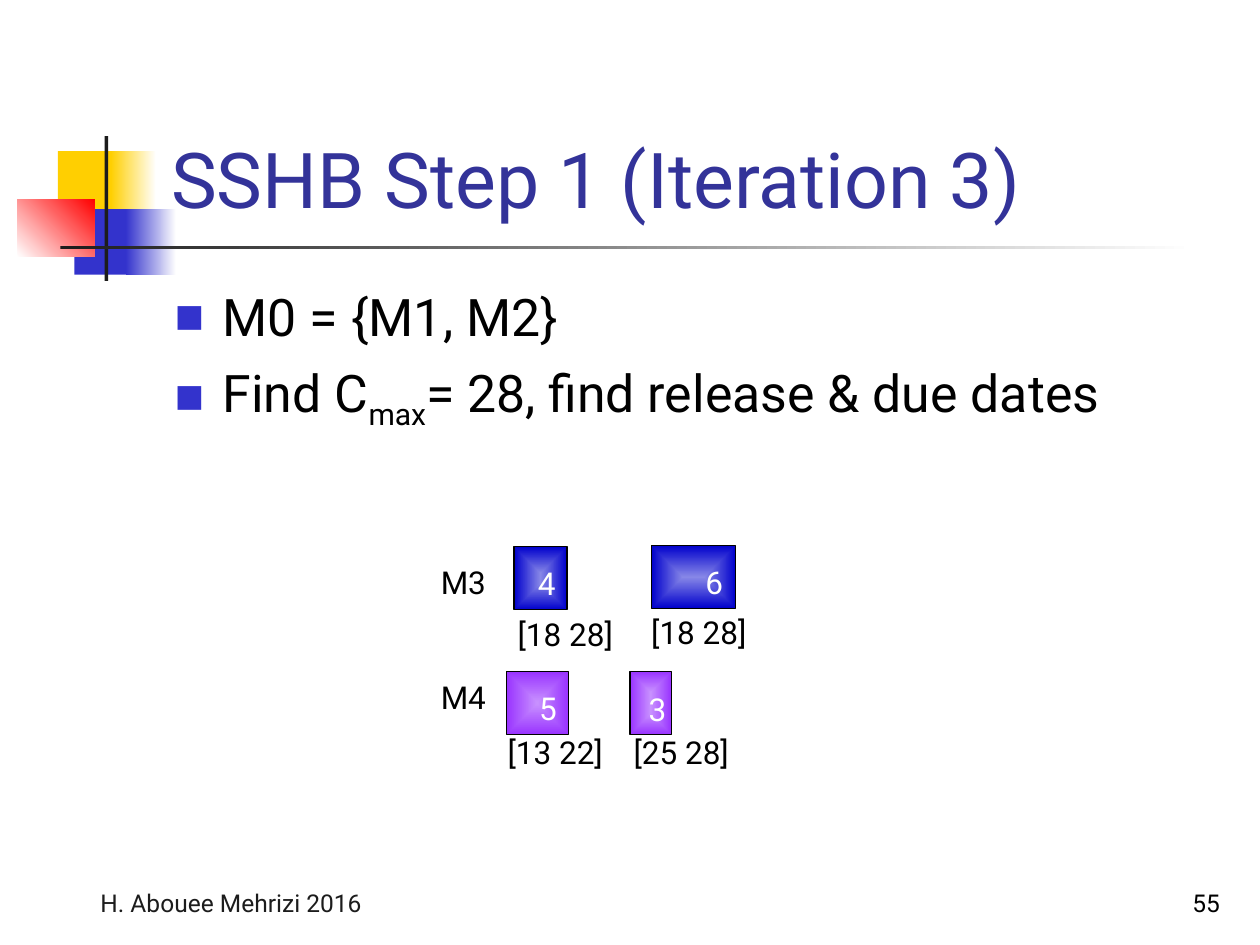
import pptx
import pptx.dml.color
import pptx.enum.shapes
import pptx.enum.text
import pptx.oxml
import pptx.oxml.ns
import pptx.util

Inches = pptx.util.Inches
Pt = pptx.util.Pt
RGBColor = pptx.dml.color.RGBColor
ALIGN = pptx.enum.text.PP_ALIGN
ANCHOR = pptx.enum.text.MSO_ANCHOR
AUTO_SIZE = pptx.enum.text.MSO_AUTO_SIZE

FONT = "Roboto"
BLACK = RGBColor(0x00, 0x00, 0x00)
WHITE = RGBColor(0xFF, 0xFF, 0xFF)
CHARCOAL = RGBColor(0x1C, 0x1C, 0x1C)
YELLOW = RGBColor(0xFF, 0xCF, 0x01)
RED = RGBColor(0xFF, 0x00, 0x00)
BLUE = RGBColor(0x33, 0x33, 0xCC)
INDIGO = RGBColor(0x33, 0x33, 0x99)
JOB_BLUES = (RGBColor(0x87, 0x87, 0xE7), RGBColor(0x00, 0x00, 0xCC))
JOB_PURPLES = (RGBColor(0xC8, 0x91, 0xFF), RGBColor(0x99, 0x33, 0xFF))

# place, colours (one is solid, two are a gradient), gradient angle
DECORATIONS = [
    ((0.46, 1.2, 0.48, 0.52), (YELLOW,), 0),
    ((0.88, 1.2, 0.36, 0.52), (YELLOW, WHITE), 0),
    ((0.59, 1.66, 0.46, 0.52), (BLUE,), 0),
    ((1, 1.66, 0.4, 0.52), (BLUE, WHITE), 0),
    ((0.14, 1.58, 0.61, 0.46), (WHITE, RED), 45),
    ((0.83, 1.08, 0.03, 1.15), (CHARCOAL,), 0),
    ((0.48, 1.95, 9, 0.03), (CHARCOAL, WHITE), 0),
]

# label place, job colours, then per job: box, number place, window and its place
MACHINES = [
    ("M3", (3.4, 4.42), JOB_BLUES, [
        ((4.08, 4.34, 0.42, 0.5), "4", (4.17, 4.43), "[18 28]", (4.01, 4.83)),
        ((5.17, 4.33, 0.67, 0.5), "6", (5.5, 4.42), "[18 28]", (5.07, 4.82)),
    ]),
    ("M4", (3.4, 5.33), JOB_PURPLES, [
        ((4.02, 5.33, 0.49, 0.5), "5", (4.18, 5.42), "[13 22]", (3.93, 5.77)),
        ((5, 5.33, 0.33, 0.5), "3", (5.05, 5.43), "[25 28]", (4.93, 5.77)),
    ]),
]

BULLETS = [
    [("M0 = {M1, M2}", False)],
    [("Find C", False), ("max", True), ("= 28, find release & due dates", False)],
]


def add_span(para, text, size, color):
    span = para.add_run()
    span.text = text
    for name, value in {"name": FONT, "size": Pt(size)}.items():
        setattr(span.font, name, value)
    span.font.color.rgb = color
    return span


def format_frame(box, **values):
    for name, value in values.items():
        setattr(box.text_frame, name, value)


def add_text(shapes, place, text, size, color, align=ALIGN.LEFT, **frame_values):
    box = shapes.add_textbox(*map(Inches, place))
    format_frame(box, **frame_values)
    para = box.text_frame.paragraphs[0]
    para.alignment = align
    add_span(para, text, size, color)


def add_label(shapes, corner, text, width, color=BLACK):
    add_text(shapes, (*corner, width, 0.4), text, 18, color,
             word_wrap=False, auto_size=AUTO_SIZE.SHAPE_TO_FIT_TEXT)


def add_rectangle(shapes, place, colors, angle=0):
    box = shapes.add_shape(pptx.enum.shapes.MSO_SHAPE.RECTANGLE, *map(Inches, place))
    box.shadow.inherit = False
    box.line.fill.background()
    if len(colors) == 1:
        box.fill.solid()
        box.fill.fore_color.rgb = colors[0]
    else:
        box.fill.gradient()
        box.fill.gradient_angle = angle
        for position, (stop, color) in enumerate(zip(box.fill.gradient_stops, colors)):
            stop.position = position
            stop.color.rgb = color
    return box


def add_job(shapes, place, colors):
    """Add an outlined box whose gradient runs from its centre to its edges."""
    box = add_rectangle(shapes, place, colors)
    box.line.color.rgb = BLACK
    box.line.width = Pt(0.75)
    linear = box._element.spPr.find(".//" + pptx.oxml.ns.qn("a:lin"))
    centred = pptx.oxml.parse_xml(
        f'<a:path {pptx.oxml.ns.nsdecls("a")} path="rect">'
        '<a:fillToRect l="50000" t="50000" r="50000" b="50000"/></a:path>')
    linear.getparent().replace(linear, centred)


def add_machine(page, name, corner, colors, jobs):
    shapes = page.shapes.add_group_shape().shapes
    add_label(shapes, corner, name, 0.57)
    for place, number, number_corner, window, window_corner in jobs:
        add_job(shapes, place, colors)
        add_label(shapes, number_corner, number, 0.34, WHITE)
        add_label(shapes, window_corner, window, 1)


def set_title(page, text):
    title = page.shapes.title
    place = dict(left=1.26, top=0.23, width=8.52, height=1.6)
    for name, value in place.items():
        setattr(title, name, Inches(value))
    format_frame(title, vertical_anchor=ANCHOR.BOTTOM, word_wrap=True,
                 auto_size=AUTO_SIZE.NONE)
    para = title.text_frame.paragraphs[0]
    para.alignment = ALIGN.LEFT
    add_span(para, text, 44, INDIGO)


def add_square_bullet(para):
    properties = para._p.get_or_add_pPr()
    indent = Inches(0.38)
    properties.set("marL", str(indent))
    properties.set("indent", str(-indent))
    for markup in (f'<a:buClr {{}}><a:srgbClr val="{BLUE}"/></a:buClr>',
                   '<a:buSzPct {} val="60000"/>',
                   f'<a:buFont {{}} typeface="{FONT}"/>',
                   '<a:buChar {} char="■"/>'):
        properties.append(pptx.oxml.parse_xml(markup.format(pptx.oxml.ns.nsdecls("a"))))


def add_bullets(page, place, bullets):
    box = page.shapes.add_textbox(*map(Inches, place))
    format_frame(box, word_wrap=True)
    frame = box.text_frame
    for index, spans in enumerate(bullets):
        para = frame.add_paragraph() if index else frame.paragraphs[0]
        para.space_before = Pt(8)
        add_square_bullet(para)
        for text, is_subscript in spans:
            span = add_span(para, text, 29.6, BLACK)
            if is_subscript:
                span.font._element.set("baseline", "-25000")


def main():
    deck = pptx.Presentation()
    deck.slide_width, deck.slide_height = Inches(10), Inches(7.5)
    page = deck.slides.add_slide(deck.slide_layouts[5])
    for place, colors, angle in DECORATIONS:
        add_rectangle(page.shapes, place, colors, angle)
    footer_frame = {"vertical_anchor": ANCHOR.BOTTOM, "word_wrap": True}
    add_text(page.shapes, (0.25, 6.83, 3.17, 0.5), "H. Abouee Mehrizi 2016", 14,
             CHARCOAL, ALIGN.CENTER, **footer_frame)
    add_text(page.shapes, (7.7, 6.83, 2.08, 0.5), "55", 14, BLACK, ALIGN.RIGHT,
             **footer_frame)
    set_title(page, "SSHB Step 1 (Iteration 3)")
    add_bullets(page, (1.29, 2.21, 8.5, 1.29), BULLETS)
    for machine in MACHINES:
        add_machine(page, *machine)
    deck.save("out.pptx")


if __name__ == "__main__":
    main()
